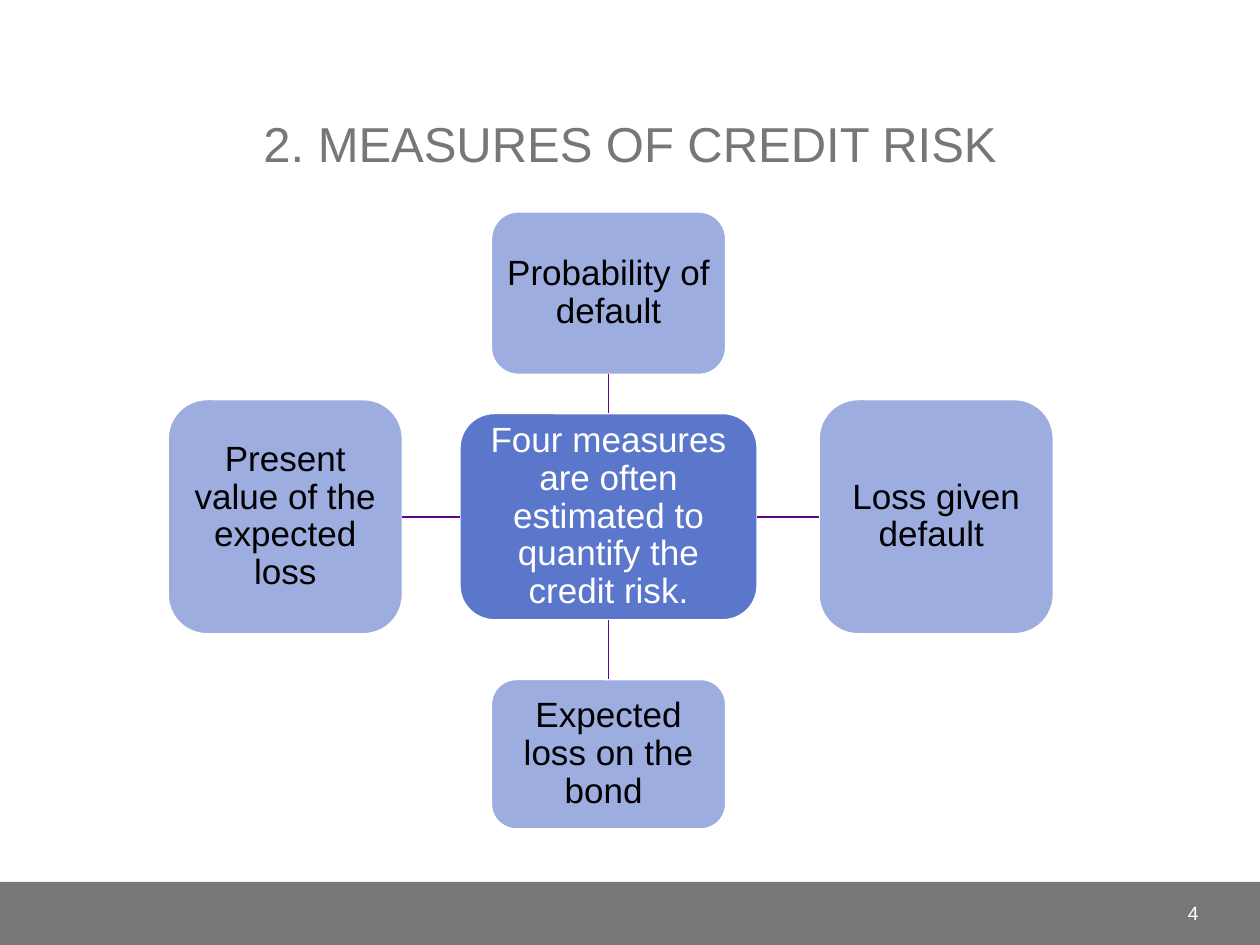
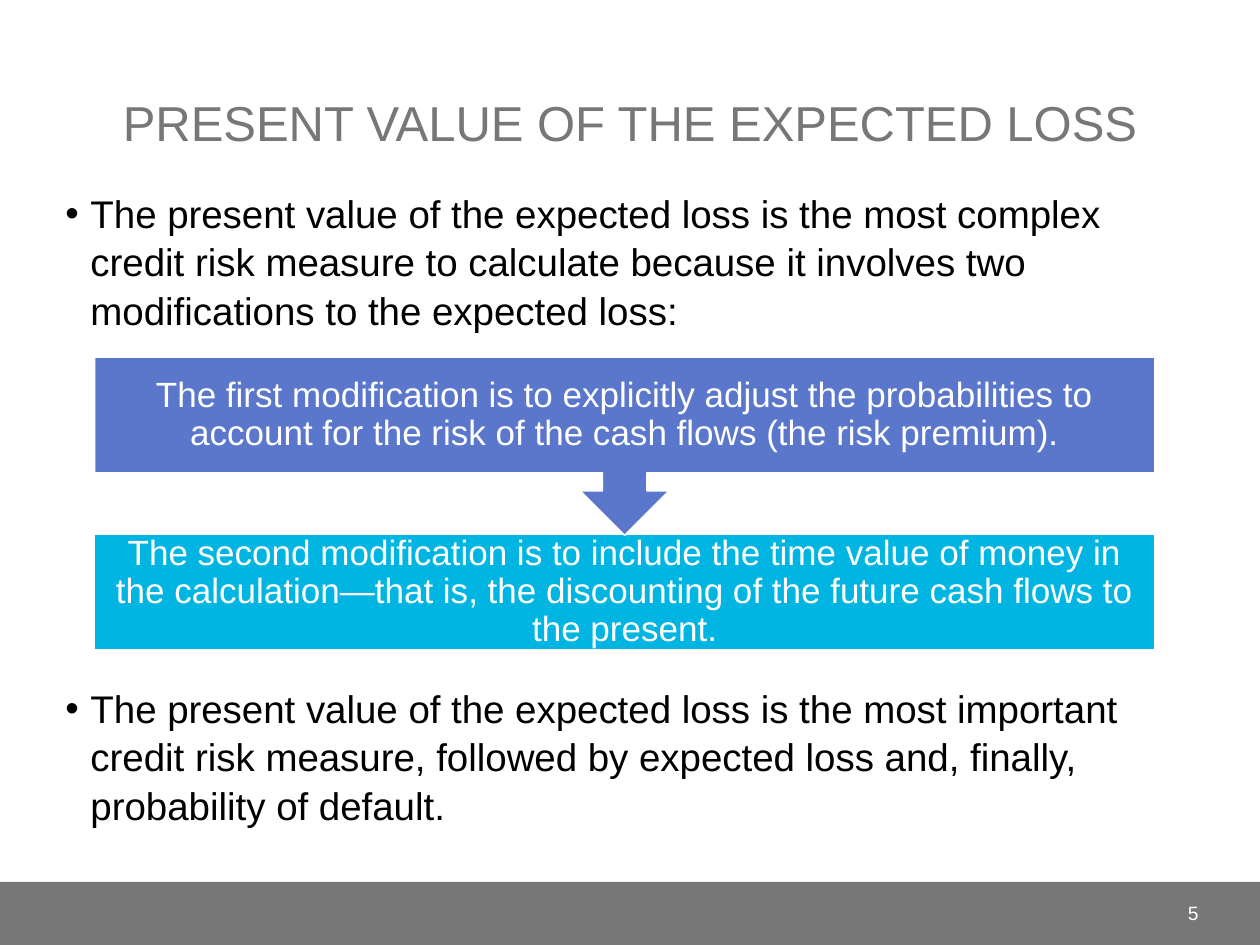
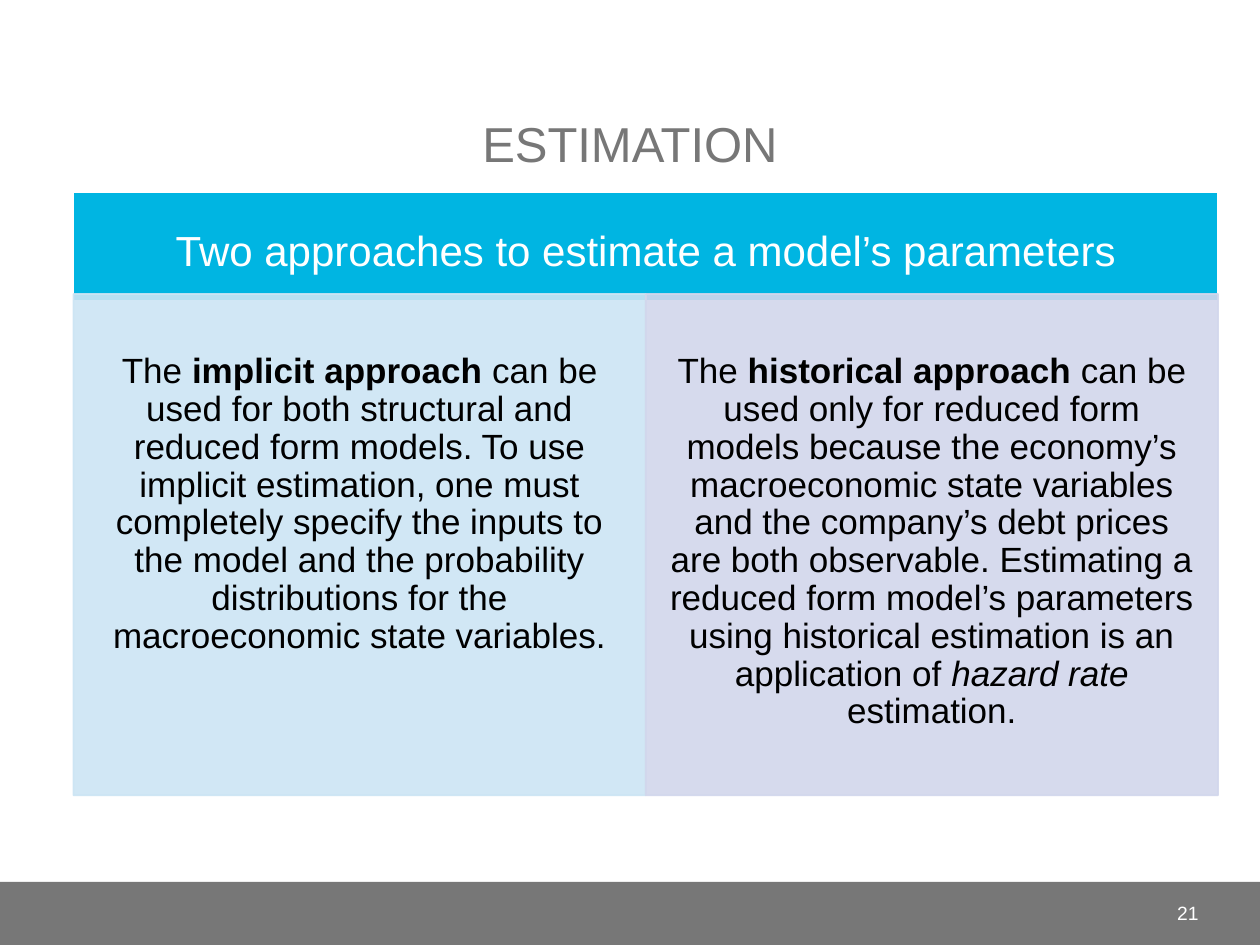
from lxml.etree import SubElement
from pptx import Presentation
from pptx.dml.color import RGBColor
from pptx.enum.shapes import MSO_CONNECTOR as Connector, MSO_SHAPE as Shape
from pptx.enum.text import MSO_ANCHOR as Anchor, MSO_AUTO_SIZE as AutoSize, PP_ALIGN as Align
from pptx.oxml.ns import qn
from pptx.util import Pt

# Shared style
FONT = "Arial"
GREY, WHITE, BLACK = "777777", "FFFFFF", "000000"
BLUE, PALE_BLUE, CYAN, PURPLE = "5B77CC", "9DADE0", "00B5E2", "5C068C"
ICE, LAVENDER = "CCE5F4", "D2D7EC"
MARGIN, CONTENT_WIDTH = 30.24, 659.5
TOP, LEFT, BOTTOM, RIGHT = range(4)  # connection sites of a rounded box


def rgb(hex_color):
    return RGBColor.from_string(hex_color)


def place(left, top, width, height):
    return Pt(left), Pt(top), Pt(width), Pt(height)


def write(frame, runs, size, color, align=Align.CENTER, anchor=Anchor.MIDDLE,
          spacing=None, insets=None, bullet=False):
    """Fill a frame with one paragraph; runs is a string or (text, style) pairs."""
    frame.word_wrap = True
    frame.auto_size = AutoSize.NONE
    frame.vertical_anchor = anchor
    if insets:
        side, top, bottom = insets
        frame.margin_left = frame.margin_right = Pt(side)
        frame.margin_top, frame.margin_bottom = Pt(top), Pt(bottom)
    paragraph = frame.paragraphs[0]
    if bullet:
        properties = paragraph._p.get_or_add_pPr()
        properties.set("marL", str(Pt(14.4)))
        properties.set("indent", str(-Pt(14.4)))
        SubElement(properties, qn("a:buFont"), typeface=FONT)
        SubElement(properties, qn("a:buChar"), char="•")
    paragraph.alignment = align
    if spacing:
        paragraph.line_spacing = spacing
    font = paragraph.font
    font.name, font.size, font.color.rgb = FONT, Pt(size), rgb(color)
    for text, style in [(runs, None)] if isinstance(runs, str) else runs:
        run = paragraph.add_run()
        run.text = text
        if style:
            setattr(run.font, style, True)


def add_box(slide, kind, box, fill, line=WHITE):
    shape = slide.shapes.add_shape(kind, *place(*box))
    shape.shadow.inherit = False
    shape.fill.solid()
    shape.fill.fore_color.rgb = rgb(fill)
    if line:
        shape.line.color.rgb = rgb(line)
        shape.line.width = Pt(1)
    else:
        shape.line.fill.background()
    return shape


def add_label_box(slide, kind, box, fill, text, color=WHITE, size=20, **layout):
    shape = add_box(slide, kind, box, fill)
    write(shape.text_frame, text, size, color, spacing=0.9, **layout)
    return shape


def add_text(slide, box, text, size, color, **layout):
    frame = slide.shapes.add_textbox(*place(*box)).text_frame
    write(frame, text, size, color, **layout)


def add_bullet(slide, top, text):
    add_text(slide, (MARGIN, top, CONTENT_WIDTH, 90), text, 22, BLACK,
             align=Align.LEFT, anchor=Anchor.TOP, spacing=1.05, bullet=True)


def add_link(slide, hub, hub_site, satellite):
    link = slide.shapes.add_connector(Connector.STRAIGHT, 0, 0, 0, 0)
    link.begin_connect(hub, hub_site)
    link.end_connect(satellite, (hub_site + 2) % 4)
    link.line.color.rgb = rgb(PURPLE)
    link.line.width = Pt(1)
    SubElement(link._element.spPr, qn("a:effectLst"))


def add_panel(slide, box, tint, runs):
    """Add a text panel whose fill and outline are 90 % opaque."""
    panel = add_box(slide, Shape.RECTANGLE, box, tint, tint)
    for color in panel._element.spPr.iter(qn("a:srgbClr")):
        SubElement(color, qn("a:alpha"), val="90000")
    write(panel.text_frame, runs, 20, BLACK, anchor=Anchor.TOP,
          spacing=0.9, insets=(11.5, 34, 2))


def add_slide(prs, title, number, title_height=90):
    slide = prs.slides.add_slide(prs.slide_layouts[5])
    add_box(slide, Shape.RECTANGLE, (0, 504, 720, 36), GREY, line=None)
    heading = slide.shapes.title
    heading.left, heading.top, heading.width, heading.height = place(
        MARGIN, 12.24, CONTENT_WIDTH, title_height)
    write(heading.text_frame, title, 28, GREY, anchor=Anchor.BOTTOM)
    add_text(slide, (630, 507, 62, 28.8), str(number), 11, WHITE, align=Align.RIGHT)
    return slide


def build_measures(prs):
    slide = add_slide(prs, "2. MEASURES OF CREDIT RISK", 4)
    center_x, center_y = 347.75, 295.25

    def add_node(x, y, width, height, fill, text, color):
        return add_label_box(slide, Shape.ROUNDED_RECTANGLE,
                             (x - width / 2, y - height / 2, width, height),
                             fill, text, color, insets=(4.5, 0, 0))

    hub = add_node(center_x, center_y, 170, 118, BLUE,
                   "Four measures are often estimated to quantify the credit risk.", WHITE)
    measures = [
        (TOP, "Probability of default", center_x, 167.5, 93),
        (RIGHT, "Loss given default ", 535, center_y, 134),
        (BOTTOM, "Expected loss on the bond ", center_x, 431, 85.5),
        (LEFT, "Present value of the expected loss", 163, center_y, 134),
    ]
    for site, measure, x, y, height in measures:
        satellite = add_node(x, y, 134, height, PALE_BLUE, measure, BLACK)
        add_link(slide, hub, site, satellite)


def build_present_value(prs):
    slide = add_slide(prs, "PRESENT VALUE OF THE EXPECTED LOSS", 5, title_height=77.76)
    add_bullet(slide, 103.5,
               "The present value of the expected loss is the most complex credit risk "
               "measure to calculate because it involves two modifications to the expected loss:")
    # The two modifications, the first pointing down to the second
    modifications = [
        (Shape.RECTANGLE, 305.5, 66, CYAN,
         "The second modification is to include the time value of money in the "
         "calculation—that is, the discounting of the future cash flows to the present."),
        (Shape.DOWN_ARROW_CALLOUT, 204, 102, BLUE,
         "The first modification is to explicitly adjust the probabilities to account "
         "for the risk of the cash flows (the risk premium)."),
    ]
    for kind, top, height, fill, text in modifications:
        add_label_box(slide, kind, (54, top, 606, height), fill, text, insets=(11.5, 0, 0))
    add_bullet(slide, 386.5,
               "The present value of the expected loss is the most important credit risk "
               "measure, followed by expected loss and, finally, probability of default.")


def build_estimation(prs):
    slide = add_slide(prs, "ESTIMATION", 21)
    left, panel_width = 42, 327
    add_label_box(slide, Shape.RECTANGLE, (left, 110, 2 * panel_width, 62), CYAN,
                  "Two approaches to estimate a model’s parameters", size=24,
                  insets=(13.5, 7, 0))
    approaches = [
        (ICE, [
            ("The ", None), ("implicit approach ", "bold"),
            ("can be used for both structural and reduced form models. To use implicit "
             "estimation, one must completely specify the inputs to the model and the "
             "probability distributions for the macroeconomic state variables.", None)]),
        (LAVENDER, [
            ("The ", None), ("historical approach ", "bold"),
            ("can be used only for reduced form models because the economy’s "
             "macroeconomic state variables and the company’s debt prices are both "
             "observable. Estimating a reduced form model’s parameters using historical "
             "estimation is an application of ", None),
            ("hazard rate ", "italic"), ("estimation.", None)]),
    ]
    for column, (tint, runs) in enumerate(approaches):
        add_panel(slide, (left + column * panel_width, 168, panel_width, 286.5), tint, runs)


def main():
    prs = Presentation()
    prs.slide_width, prs.slide_height = Pt(720), Pt(540)
    build_measures(prs)
    build_present_value(prs)
    build_estimation(prs)
    prs.save("out.pptx")


if __name__ == "__main__":
    main()
